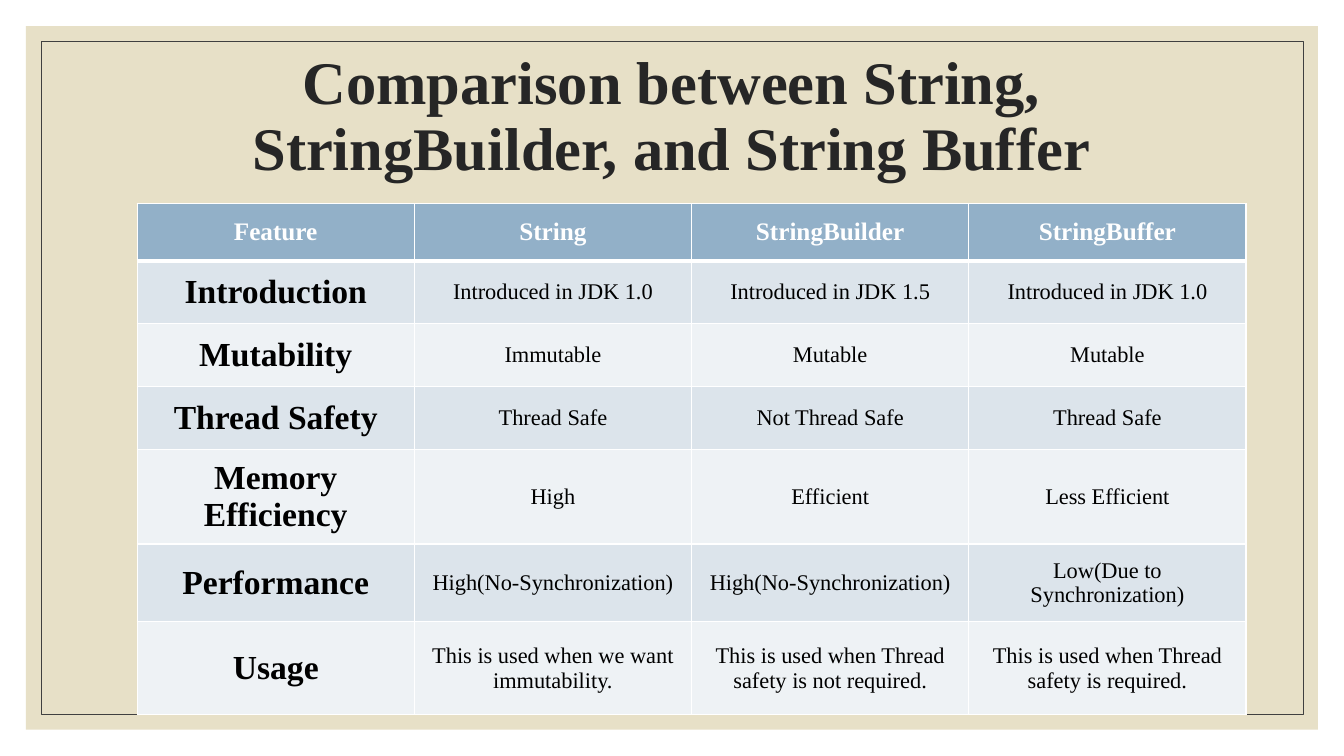
from dataclasses import dataclass

from lxml.etree import SubElement
from pptx import Presentation
from pptx.dml.color import RGBColor as RGB
from pptx.enum.shapes import MSO_SHAPE as SHAPE
from pptx.enum.text import MSO_ANCHOR as ANCHOR, PP_ALIGN as ALIGN
from pptx.oxml.ns import qn
from pptx.util import Inches, Pt


@dataclass(frozen=True)
class Theme:
    font: str = "Times New Roman"
    panel: str = "E7E0C7"
    frame: str = "404040"
    title: str = "262626"
    header: str = "92B0C8"
    bands: tuple = ("DCE4EB", "EEF2F5")
    light: str = "FFFFFF"
    dark: str = "000000"
    title_pt: float = 43.2
    header_pt: int = 18
    feature_pt: int = 24
    body_pt: int = 16


class Deck:
    """Draws elements on one slide, with lengths in percent of its size."""

    def __init__(self, theme):
        self.theme = theme
        self.prs = Presentation()
        self.prs.slide_width, self.prs.slide_height = Inches(13.33), Inches(7.5)
        self.s = self.prs.slides.add_slide(self.prs.slide_layouts[6])

    def x(self, share):
        return round(self.prs.slide_width * share / 100)

    def y(self, share):
        return round(self.prs.slide_height * share / 100)

    def box(self, left, top, width, height):
        return self.x(left), self.y(top), self.x(width), self.y(height)

    def text(self, tf, text, size, color, bold=True):
        p = tf.paragraphs[0]
        p.alignment = ALIGN.CENTER
        r = p.add_run()
        r.text = text
        r.font.name, r.font.size, r.font.bold = self.theme.font, Pt(size), bold
        r.font.color.rgb = RGB.from_string(color)
        return p

    def frame(self, mx, my, fill=None, line=None):
        sp = self.s.shapes.add_shape(
            SHAPE.RECTANGLE, *self.box(mx, my, 100 - 2 * mx, 100 - 2 * my))
        sp.shadow.inherit = False
        if fill:
            sp.fill.solid()
            sp.fill.fore_color.rgb = RGB.from_string(fill)
        else:
            sp.fill.background()
        if line:
            sp.line.color.rgb = RGB.from_string(line)
            sp.line.width = Pt(0.5)
        else:
            sp.line.fill.background()

    def title(self, text, *place):
        tf = self.s.shapes.add_textbox(*self.box(*place)).text_frame
        tf.word_wrap = True
        tf.vertical_anchor = ANCHOR.MIDDLE
        p = self.text(tf, text, self.theme.title_pt, self.theme.title)
        p.line_spacing = 0.9

    def border(self, cell, side, width):
        ln = SubElement(cell._tc.get_or_add_tcPr(), qn(f"a:ln{side}"), w=str(Pt(width)))
        fill = SubElement(ln, qn("a:solidFill"))
        SubElement(fill, qn("a:srgbClr"), val=self.theme.light)

    def cell(self, cell, text, row, col):
        t = self.theme
        if row == 0:
            size, color, fill, pad = t.header_pt, t.light, t.header, 0.08
        else:
            size = t.body_pt if col else t.feature_pt
            color, fill, pad = t.dark, t.bands[(row - 1) % 2], 0.12 if col else 0.07
        cell.margin_left = cell.margin_right = Inches(0.08 if col else 0.04)
        cell.margin_top = cell.margin_bottom = Inches(pad)
        cell.vertical_anchor = ANCHOR.MIDDLE
        for side in "LRTB":
            self.border(cell, side, 3 if (row, side) in ((0, "B"), (1, "T")) else 1)
        cell.fill.solid()
        cell.fill.fore_color.rgb = RGB.from_string(fill)
        self.text(cell.text_frame, text, size, color, row == 0 or col == 0)

    def table(self, data, left, top, width, heights):
        tbl = self.s.shapes.add_table(
            len(data), len(data[0]), *self.box(left, top, width, sum(heights))).table
        tbl.first_row = tbl.horz_banding = False
        for row, (texts, height) in enumerate(zip(data, heights)):
            tbl.rows[row].height = self.y(height)
            for col, text in enumerate(texts):
                self.cell(tbl.cell(row, col), text, row, col)


COMPARISON = [
    ("Feature", "String", "StringBuilder", "StringBuffer"),
    ("Introduction", "Introduced in JDK 1.0", "Introduced in JDK 1.5",
     "Introduced in JDK 1.0"),
    ("Mutability", "Immutable", "Mutable", "Mutable"),
    ("Thread Safety", "Thread Safe", "Not Thread Safe", "Thread Safe"),
    ("Memory Efficiency", "High", "Efficient", "Less Efficient"),
    ("Performance", "High(No-Synchronization)", "High(No-Synchronization)",
     "Low(Due to Synchronization)"),
    ("Usage", "This is used when we want immutability.",
     "This is used when Thread safety is not required.",
     "This is used when Thread safety is required."),
]


def main():
    theme = Theme()
    deck = Deck(theme)
    deck.frame(1.93, 3.47, fill=theme.panel)
    deck.frame(3.05, 5.47, line=theme.frame)
    deck.title("Comparison between String, StringBuilder, and String Buffer",
               8.7, 5.6, 82.52, 20)
    deck.table(COMPARISON, 10.2, 26.93, 82.52,
               [7.6, 8.3, 8.3, 8.3, 11.7, 9.7, 12.27])
    deck.prs.save("out.pptx")


if __name__ == "__main__":
    main()
